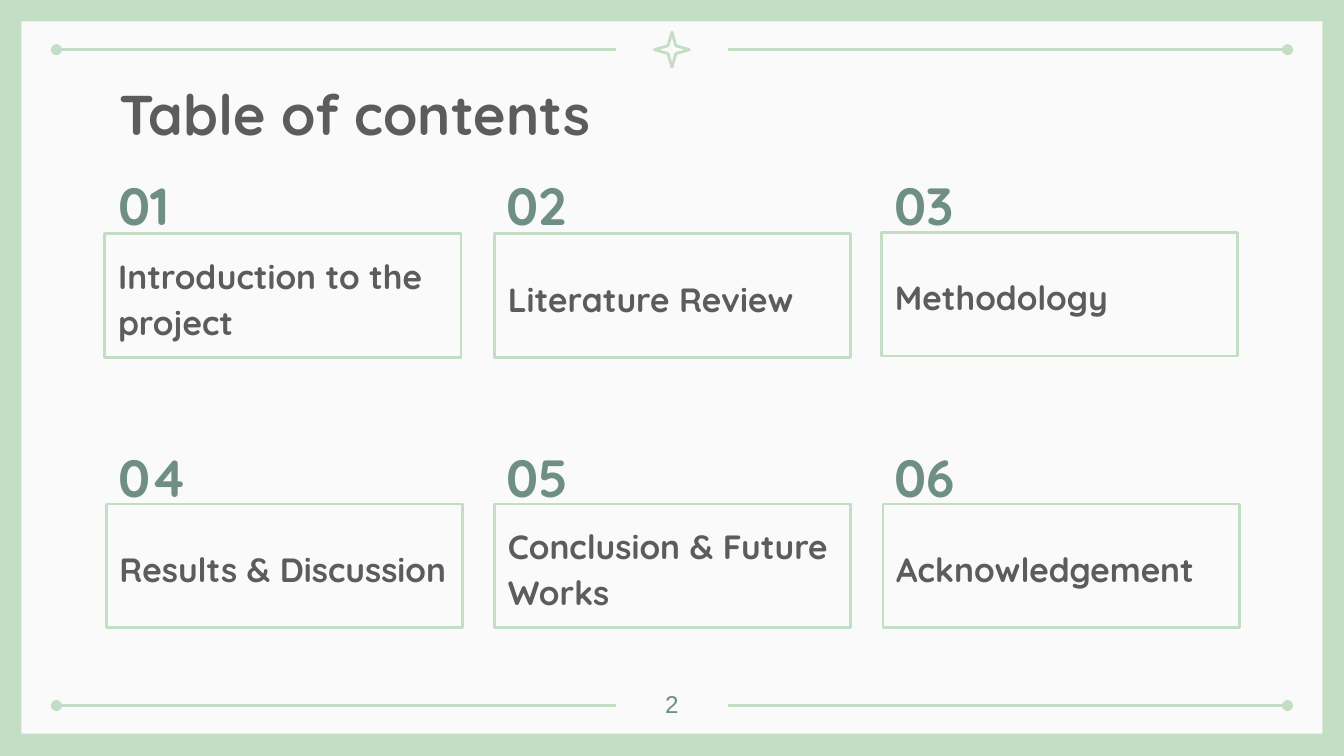
from dataclasses import dataclass

from lxml.etree import SubElement
from pptx import Presentation
from pptx.dml.color import RGBColor
from pptx.enum.shapes import MSO_CONNECTOR, MSO_SHAPE
from pptx.enum.text import MSO_ANCHOR, PP_ALIGN
from pptx.oxml.ns import qn
from pptx.util import Inches, Pt

MINT = RGBColor(0xC4, 0xDD, 0xC5)
PAPER = RGBColor(0xFA, 0xFA, 0xFA)
GREY = RGBColor(0x5C, 0x5C, 0x5F)
GREEN = RGBColor(0x6E, 0x8F, 0x81)
HEADING_FONT = "Quicksand"
LINE_WIDTH = Pt(1.5)

COLUMNS = 3
NUMBER_LEFT, NUMBER_TOP = 0.78, 1.25
COLUMN_STEP, ROW_STEP = 2.89, 2.02


@dataclass(frozen=True)
class Box:
    left: float
    top: float
    width: float
    height: float

    def lengths(self) -> list[Inches]:
        return [Inches(v) for v in (self.left, self.top, self.width, self.height)]


@dataclass(frozen=True)
class TextStyle:
    size: float
    color: RGBColor
    font: str = HEADING_FONT
    bold: bool = True
    spacing: float = 1.0
    align: PP_ALIGN = PP_ALIGN.LEFT
    anchor: MSO_ANCHOR = MSO_ANCHOR.TOP


@dataclass(frozen=True)
class Topic:
    text: str
    left: float
    top: float


TITLE = TextStyle(30, GREY)
NUMBER = TextStyle(28, GREEN, spacing=1.15, anchor=MSO_ANCHOR.MIDDLE)
TOPIC = TextStyle(18, GREY, spacing=1.15, anchor=MSO_ANCHOR.MIDDLE)
PAGE = TextStyle(13, GREEN, font="Arial", bold=False, align=PP_ALIGN.CENTER)

TOPICS = (
    Topic("Introduction to the project", 0.78, 1.74),
    Topic("Literature Review", 3.68, 1.74),
    Topic("Methodology", 6.56, 1.73),
    Topic("Results & Discussion", 0.79, 3.75),
    Topic("Conclusion & Future Works", 3.68, 3.75),
    Topic("Acknowledgement", 6.57, 3.75),
)


def write(sp, text: str, style: TextStyle) -> None:
    tf = sp.text_frame
    tf.word_wrap = True
    tf.vertical_anchor = style.anchor
    tf.margin_left = tf.margin_right = Inches(0.1)
    tf.margin_top = tf.margin_bottom = Inches(0.1)
    p = tf.paragraphs[0]
    p.alignment = style.align
    p.line_spacing = style.spacing
    r = p.add_run()
    r.text = text
    r.font.name = style.font
    r.font.size = Pt(style.size)
    r.font.bold = style.bold
    r.font.color.rgb = style.color


def add_text(s, box: Box, text: str, style: TextStyle) -> None:
    write(s.shapes.add_textbox(*box.lengths()), text, style)


def add_outline(s, kind: MSO_SHAPE, box: Box):
    sp = s.shapes.add_shape(kind, *box.lengths())
    sp.shadow.inherit = False
    sp.fill.background()
    sp.line.color.rgb = MINT
    sp.line.width = LINE_WIDTH
    return sp


def add_rule(s, outer: float, inner: float, y: float) -> None:
    """Draw a horizontal rule with a dot at its outer end."""
    rule = s.shapes.add_connector(
        MSO_CONNECTOR.STRAIGHT, Inches(outer), Inches(y), Inches(inner), Inches(y)
    )
    rule.line.color.rgb = MINT
    rule.line.width = LINE_WIDTH
    sp_pr = rule._element.spPr
    SubElement(sp_pr.find(qn("a:ln")), qn("a:headEnd"), type="oval")
    SubElement(sp_pr, qn("a:effectLst"))


def add_frame(s) -> None:
    s.background.fill.solid()
    s.background.fill.fore_color.rgb = MINT
    paper = s.shapes.add_shape(
        MSO_SHAPE.RECTANGLE, *Box(0.16, 0.16, 9.68, 5.3).lengths()
    )
    paper.shadow.inherit = False
    paper.fill.solid()
    paper.fill.fore_color.rgb = PAPER
    paper.line.fill.background()
    for y in (0.37, 5.25):
        for outer, inner in ((0.42, 4.58), (9.58, 5.42)):
            add_rule(s, outer, inner, y)
    star = add_outline(s, MSO_SHAPE.STAR_4_POINT, Box(4.87, 0.24, 0.26, 0.26))
    star.adjustments[0] = 0.16


def add_topic(s, index: int, topic: Topic) -> None:
    row, column = divmod(index, COLUMNS)
    number_box = Box(
        NUMBER_LEFT + column * COLUMN_STEP, NUMBER_TOP + row * ROW_STEP, 0.72, 0.48
    )
    add_text(s, number_box, f"{index + 1:02}", NUMBER)
    topic_box = Box(topic.left, topic.top, 2.65, 0.92)
    write(add_outline(s, MSO_SHAPE.RECTANGLE, topic_box), topic.text, TOPIC)


def main() -> None:
    prs = Presentation()
    prs.slide_width = Inches(10)
    prs.slide_height = prs.slide_width * 9 // 16
    s = prs.slides.add_slide(prs.slide_layouts[6])
    add_frame(s)
    add_text(s, Box(0.79, 0.49, 8.43, 0.63), "Table of contents", TITLE)
    for index, topic in enumerate(TOPICS):
        add_topic(s, index, topic)
    add_text(s, Box(4.7, 5.03, 0.6, 0.36), "2", PAGE)
    prs.save("out.pptx")


if __name__ == "__main__":
    main()
